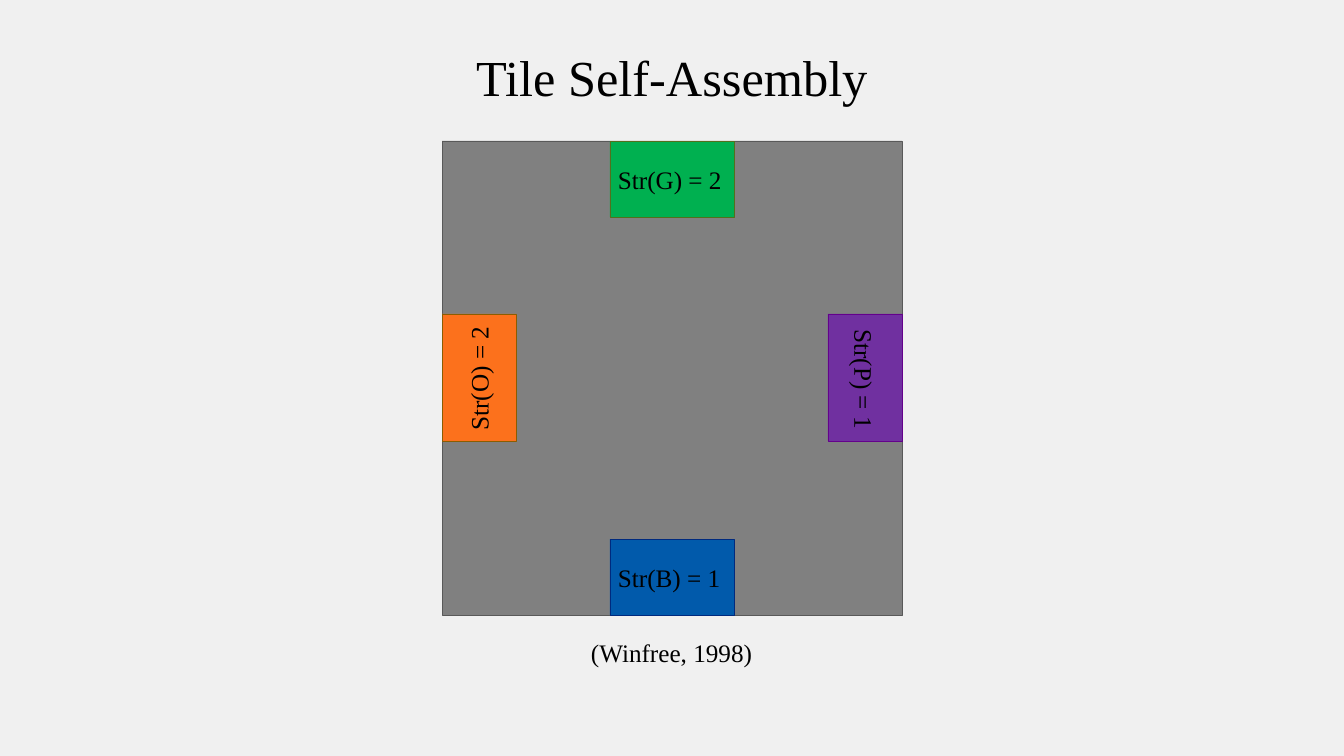
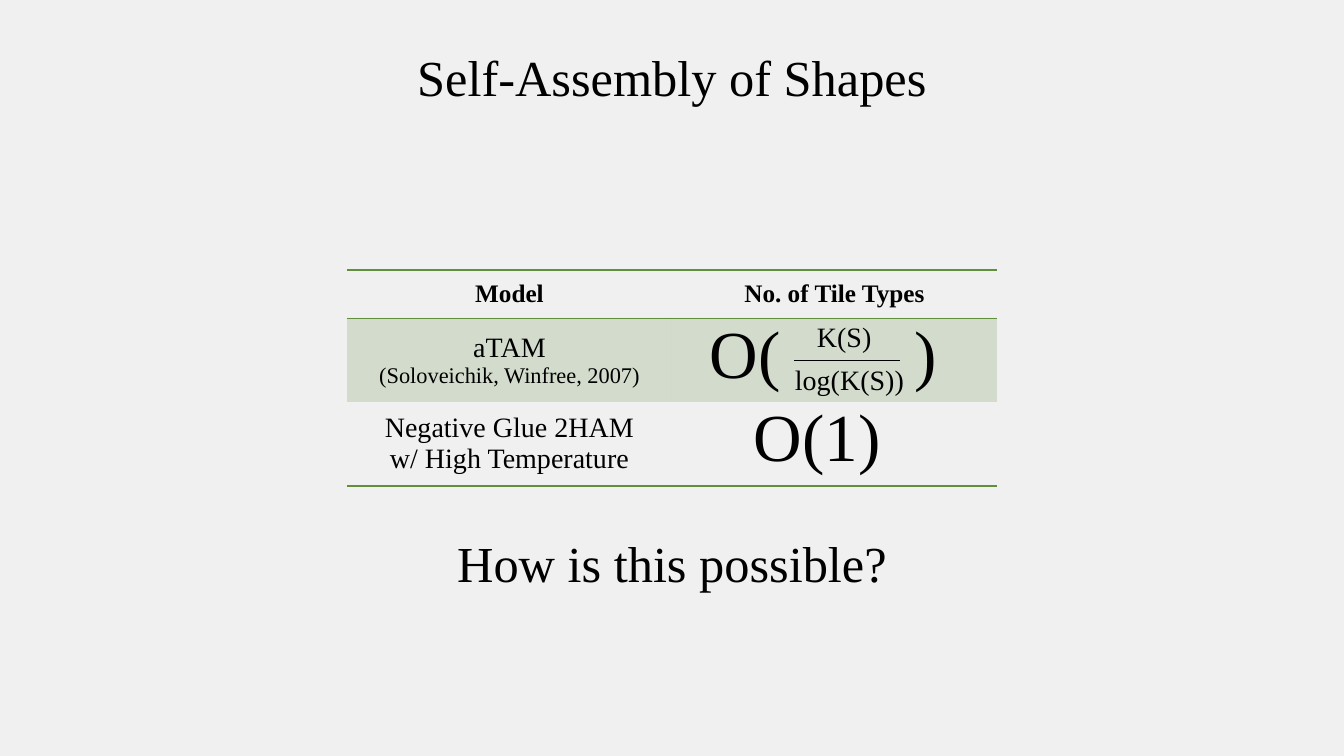
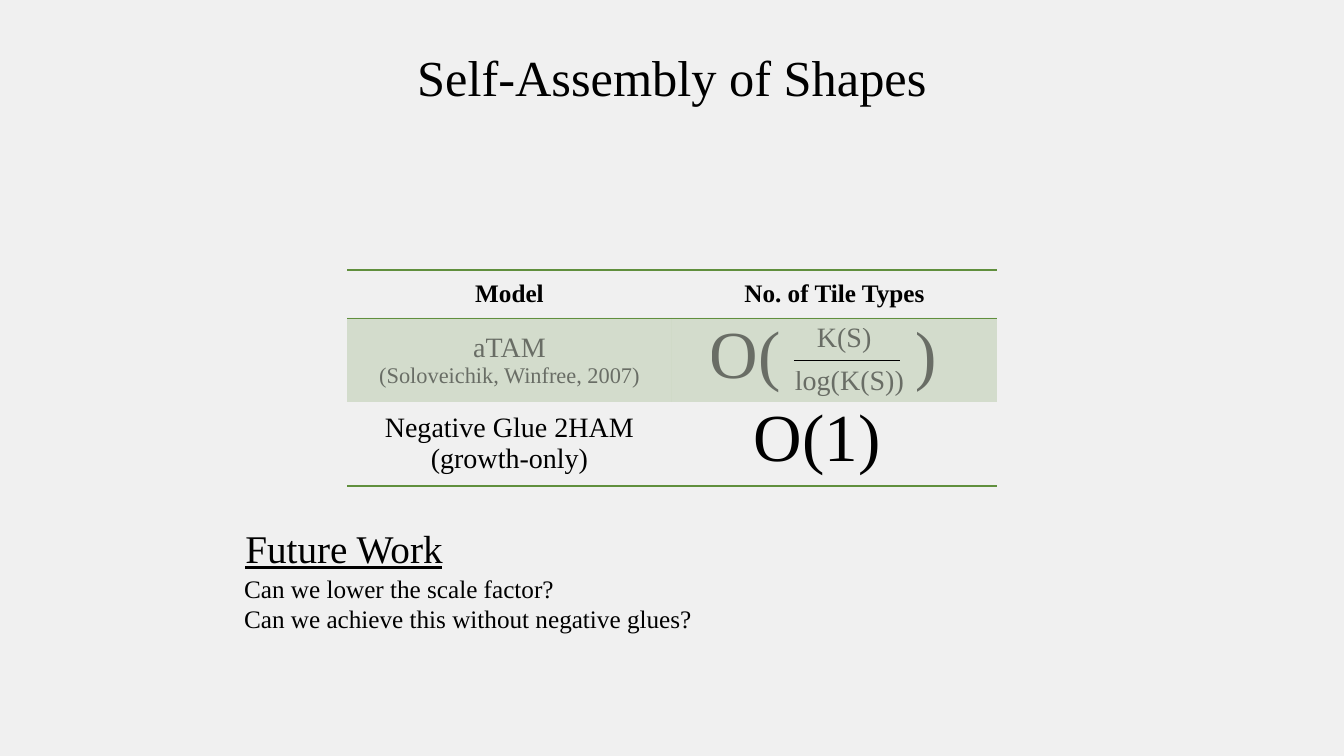
from lxml import etree
from pptx import Presentation
from pptx import util as u
from pptx.dml.color import RGBColor
from pptx.enum import shapes, text
from pptx.oxml import ns

EMU_PER_PX = 914400 / 100.8
WIDTH, HEIGHT = 1344, 756
FONT = "Times New Roman"
BLACK, GREEN, BACKGROUND = "000000", "608F3D", "F0F0F0"
NO_STYLE = "{2D5ABB26-0587-4C30-8999-92F81FD0307C}"
CENTER = text.PP_ALIGN.CENTER
TITLE_LAYOUT, LIST_LAYOUT = 5, 1

TILE = ((442, 141, 460, 474), "808080", "595959")
GLUES = [
    ((610, 539, 124, 76), "015AAB", "002A7E"),
    ((828, 314, 74, 127), "7030A0", "64018B"),
    ((442, 314, 74, 127), "FC711C", "8A5D02"),
    ((610, 141, 124, 76), "00B050", "536F1D"),
]
STRENGTHS = [
    ("Str(G) = 2", (608, 159, 125, 40), 0),
    ("Str(B) = 1", (608, 557, 124, 40), 0),
    ("Str(P) = 1", (804, 360, 121, 40), 90),
    ("Str(O) = 2", (416, 358, 125, 40), 270),
]
CITATION = ("(Winfree, 1998)", (581, 632, 183, 40))

TABLE_BOX = (347, 270, 650, 216)
ROW_HEIGHTS = [48, 84, 84]
HEADINGS = ["Model", "No. of Tile Types"]
KNOWN_MODEL = [("aTAM", 20), ("(Soloveichik, Winfree, 2007)", 16)]
NEW_MODEL = "Negative Glue 2HAM"
KNOWN_BOUND = [
    ("log(K(S))", (785, 358, 180, 44), 20),
    ("K(S)", (807, 315, 123, 44), 20),
    ("O(", (700, 306, 91, 92), 48),
    (")", (905, 306, 43, 92), 48),
]
FRACTION_BAR = (794, 360, 900, 360)
NEW_BOUND = ("O(1)", (744, 389, 148, 92), 48)

QUESTION = ("How is this possible?", (0, 527, WIDTH, 72))
FUTURE_HEADING = ("Future Work", (234, 519, 220, 57))
FUTURE_WORK = ["Can we lower the scale factor?",
               "Can we achieve this without negative glues?"]
FUTURE_BOX = (234, 568, 520, 72)


def px(length):
    return u.Emu(round(length * EMU_PER_PX))


def rgb(value):
    return RGBColor.from_string(value)


def fade(element, percent):
    for color in element.iter(ns.qn("a:srgbClr")):
        etree.SubElement(color, ns.qn("a:alpha")).set("val", str(percent * 1000))


def place(part, box):
    part.left, part.top, part.width, part.height = map(px, box)


def write(paragraph, words, size=18, align=None, bold=False, underline=None, opacity=100):
    paragraph.alignment = align
    run = paragraph.add_run()
    run.text = words
    font = run.font
    font.name, font.size, font.bold, font.underline = FONT, u.Pt(size), bold, underline
    font.color.rgb = rgb(BLACK)
    if opacity < 100:
        fade(run.font._element, opacity)


def add_label(slide, words, box, size=18, wrap=False, rotation=0, **style):
    label = slide.shapes.add_textbox(*map(px, box))
    label.rotation = rotation
    label.text_frame.word_wrap = wrap
    write(label.text_frame.paragraphs[0], words, size, **style)


def add_block(slide, box, fill, line):
    block = slide.shapes.add_shape(shapes.MSO_SHAPE.RECTANGLE, *map(px, box))
    block.shadow.inherit = False
    block.fill.solid()
    block.fill.fore_color.rgb = rgb(fill)
    block.line.color.rgb = rgb(line)
    block.line.width = u.Pt(0.5)


def add_titled_slide(prs, title, layout=TITLE_LAYOUT):
    slide = prs.slides.add_slide(prs.slide_layouts[layout])
    frame = slide.shapes.title.text_frame
    frame.vertical_anchor = text.MSO_ANCHOR.TOP
    frame.auto_size = text.MSO_AUTO_SIZE.NONE
    write(frame.paragraphs[0], title, 36, CENTER)
    return slide


def add_border(cell, edge, width):
    properties = cell._tc.get_or_add_tcPr()
    line = etree.Element(ns.qn("a:" + edge), w=str(u.Pt(width)))
    fill = etree.SubElement(line, ns.qn("a:solidFill"))
    etree.SubElement(fill, ns.qn("a:srgbClr"), val=GREEN)
    position = sum(child.tag.startswith(ns.qn("a:ln")) for child in properties)
    properties.insert(position, line)


def add_model_table(slide, new_detail, opacity):
    table = slide.shapes.add_table(3, 2, *map(px, TABLE_BOX)).table
    table._tbl.tblPr[0].text = NO_STYLE
    table.first_row = table.horz_banding = False
    for row, height in zip(table.rows, ROW_HEIGHTS):
        row.height = px(height)
    first_column = [KNOWN_MODEL, [(NEW_MODEL, 20), (new_detail, 20)]]
    rows = [[[(heading, 18)] for heading in HEADINGS]]
    rows += [[lines, []] for lines in first_column]
    for r, row in enumerate(rows):
        for c, lines in enumerate(row):
            cell = table.cell(r, c)
            cell.vertical_anchor = text.MSO_ANCHOR.MIDDLE
            for i, (words, size) in enumerate(lines):
                frame = cell.text_frame
                paragraph = frame.add_paragraph() if i else frame.paragraphs[0]
                write(paragraph, words, size, CENTER, bold=r == 0,
                      opacity=opacity if r == 1 else 100)
            if r == 1:
                cell.fill.solid()
                cell.fill.fore_color.rgb = rgb(GREEN)
                fade(cell._tc.tcPr, 20)
            else:
                cell.fill.background()
            if r == 0:
                add_border(cell, "lnT", 1)
                add_border(cell, "lnB", 0.75)
            if r == 2:
                add_border(cell, "lnB", 1)


def add_comparison(slide, new_detail, opacity=100):
    add_model_table(slide, new_detail, opacity)
    for words, box, size in KNOWN_BOUND:
        add_label(slide, words, box, size, opacity=opacity)
    bar = slide.shapes.add_connector(shapes.MSO_CONNECTOR.STRAIGHT, *map(px, FRACTION_BAR))
    bar.line.color.rgb = rgb(BLACK)
    bar.line.width = u.Pt(0.5)
    etree.SubElement(bar._element.spPr, ns.qn("a:effectLst"))
    add_label(slide, *NEW_BOUND)


def add_future_work(slide):
    body = slide.placeholders[1]
    place(body, FUTURE_BOX)
    frame = body.text_frame
    frame.auto_size = text.MSO_AUTO_SIZE.NONE
    for i, question in enumerate(FUTURE_WORK):
        paragraph = frame.add_paragraph() if i else frame.paragraphs[0]
        paragraph.space_before = u.Pt(0)
        properties = paragraph._p.get_or_add_pPr()
        properties.set("marL", "0")
        properties.set("indent", "0")
        etree.SubElement(properties, ns.qn("a:buNone"))
        write(paragraph, question)
    add_label(slide, *FUTURE_HEADING, 28, align=CENTER, underline=True)


def main():
    prs = Presentation()
    prs.slide_width, prs.slide_height = px(WIDTH), px(HEIGHT)
    master = prs.slide_master
    master.background.fill.solid()
    master.background.fill.fore_color.rgb = rgb(BACKGROUND)
    place(master.placeholders[0], (0, 41, WIDTH, 72))

    tile_slide = add_titled_slide(prs, "Tile Self-Assembly")
    add_label(tile_slide, *CITATION)
    for block in [TILE, *GLUES]:
        add_block(tile_slide, *block)
    for words, box, rotation in STRENGTHS:
        add_label(tile_slide, words, box, rotation=rotation)

    question_slide = add_titled_slide(prs, "Self-Assembly of Shapes")
    add_comparison(question_slide, "w/ High Temperature")
    add_label(question_slide, *QUESTION, 36, wrap=True, align=CENTER)

    future_slide = add_titled_slide(prs, "Self-Assembly of Shapes", LIST_LAYOUT)
    add_comparison(future_slide, "(growth-only)", 50)
    add_future_work(future_slide)
    prs.save("out.pptx")


if __name__ == "__main__":
    main()
